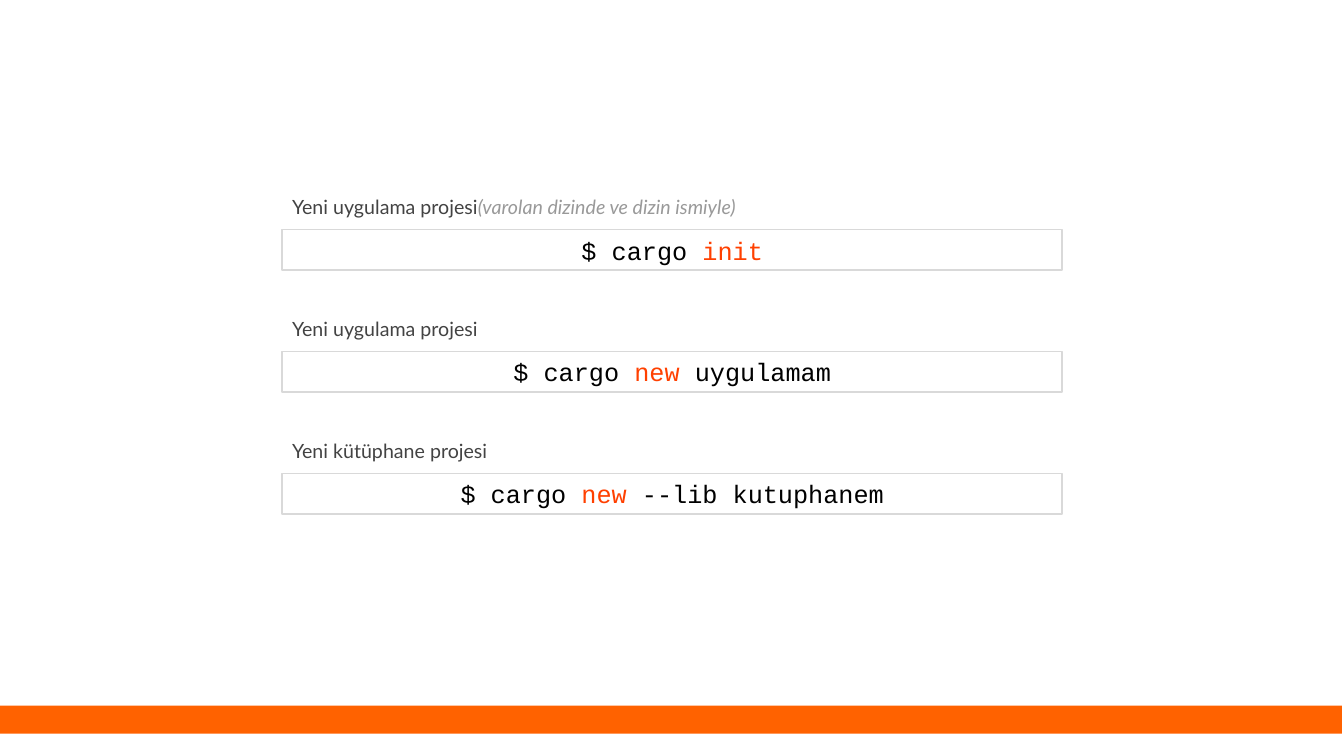
from pptx import Presentation
from pptx.dml.color import RGBColor
from pptx.enum.shapes import MSO_SHAPE as Preset
from pptx.enum.text import MSO_ANCHOR as Anchor, MSO_AUTO_SIZE as AutoSize, PP_ALIGN as Align
from pptx.util import Cm, Pt

COLOURS = {
    "background": "FFFFFF",
    "bar": "FF6200",
    "border": "D9D9D9",
    "code": "000000",
    "keyword": "FF4000",
    "label": "434343",
    "remark": "999999",
}

LEFT, WIDTH = 7.11, 19.66
SHORT_LABEL_WIDTH = 10.97
FIRST_LABEL_TOP, LABEL_HEIGHT = 4.67, 1.09
FIRST_BOX_TOP, BOX_HEIGHT = 5.79, 1.02
PITCH = 3.07

# label, remark, then the command before, at and after its keyword
COMMANDS = [
    ("Yeni uygulama projesi", "(varolan dizinde ve dizin ismiyle)", "$ cargo ", "init", ""),
    ("Yeni uygulama projesi", "", "$ cargo ", "new", " uygulamam"),
    ("Yeni kütüphane projesi", "", "$ cargo ", "new", " --lib kutuphanem"),
]


def colour(name):
    return RGBColor.from_string(COLOURS[name])


def add_rectangle(slide, left, top, width, height, fill, line=None):
    shape = slide.shapes.add_shape(
        Preset.RECTANGLE, Cm(left), Cm(top), Cm(width), Cm(height))
    shape.shadow.inherit = False
    shape.fill.solid()
    shape.fill.fore_color.rgb = colour(fill)
    if line:
        shape.line.color.rgb = colour(line)
        shape.line.width = Pt(1)
    else:
        shape.line.fill.background()
    return shape


def write_runs(paragraph, parts, font_name, size):
    """Add a run for each non-empty (text, colour name) pair."""
    for text, colour_name in parts:
        if not text:
            continue
        run = paragraph.add_run()
        run.text = text
        run.font.name = font_name
        run.font.size = Pt(size)
        run.font.color.rgb = colour(colour_name)
        if colour_name == "remark":
            run.font.italic = True


def add_command_box(slide, top, before, keyword, after):
    box = add_rectangle(slide, LEFT, top, WIDTH, BOX_HEIGHT, "background", "border")
    frame = box.text_frame
    frame.vertical_anchor = Anchor.MIDDLE
    paragraph = frame.paragraphs[0]
    paragraph.alignment = Align.CENTER
    parts = [(before, "code"), (keyword, "keyword"), (after, "code")]
    write_runs(paragraph, parts, "Courier New", 18)


def add_label(slide, top, label, remark):
    width = WIDTH if remark else SHORT_LABEL_WIDTH
    box = slide.shapes.add_textbox(Cm(LEFT), Cm(top), Cm(width), Cm(LABEL_HEIGHT))
    frame = box.text_frame
    frame.word_wrap = True
    frame.auto_size = AutoSize.SHAPE_TO_FIT_TEXT
    frame.margin_left = frame.margin_right = Cm(0.25)
    frame.margin_top = frame.margin_bottom = Cm(0.25)
    write_runs(frame.paragraphs[0], [(label, "label"), (remark, "remark")], "Lato", 14)


def main():
    presentation = Presentation()
    presentation.slide_width = Cm(33.87)
    presentation.slide_height = Cm(19.05)
    slide = presentation.slides.add_slide(presentation.slide_layouts[6])
    slide.background.fill.solid()
    slide.background.fill.fore_color.rgb = colour("background")

    add_rectangle(slide, -0.05, 17.78, 33.87, 0.71, "bar")
    for index, (label, remark, before, keyword, after) in enumerate(COMMANDS):
        offset = index * PITCH
        add_command_box(slide, FIRST_BOX_TOP + offset, before, keyword, after)
        add_label(slide, FIRST_LABEL_TOP + offset, label, remark)

    presentation.save("out.pptx")


if __name__ == "__main__":
    main()
